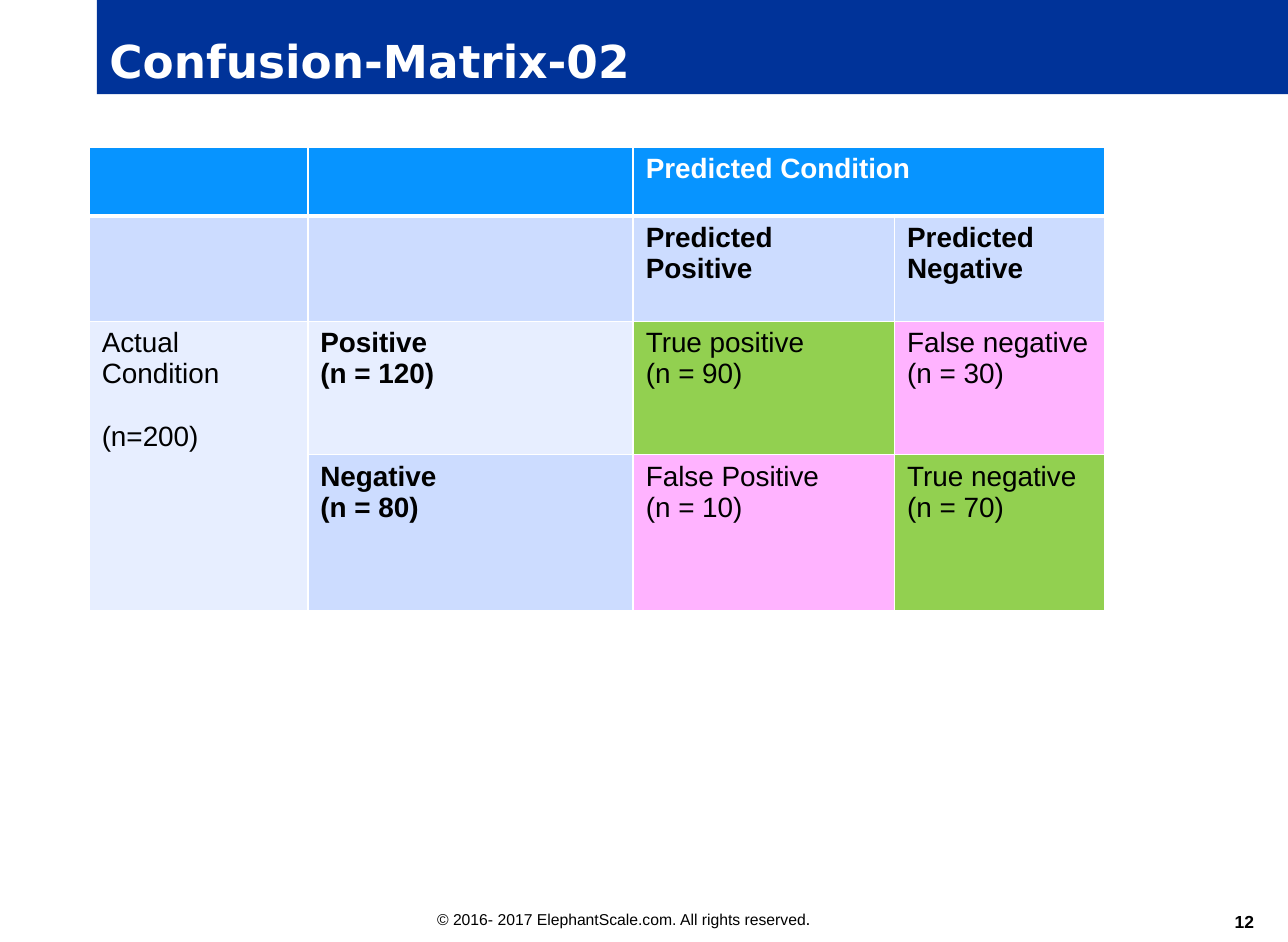
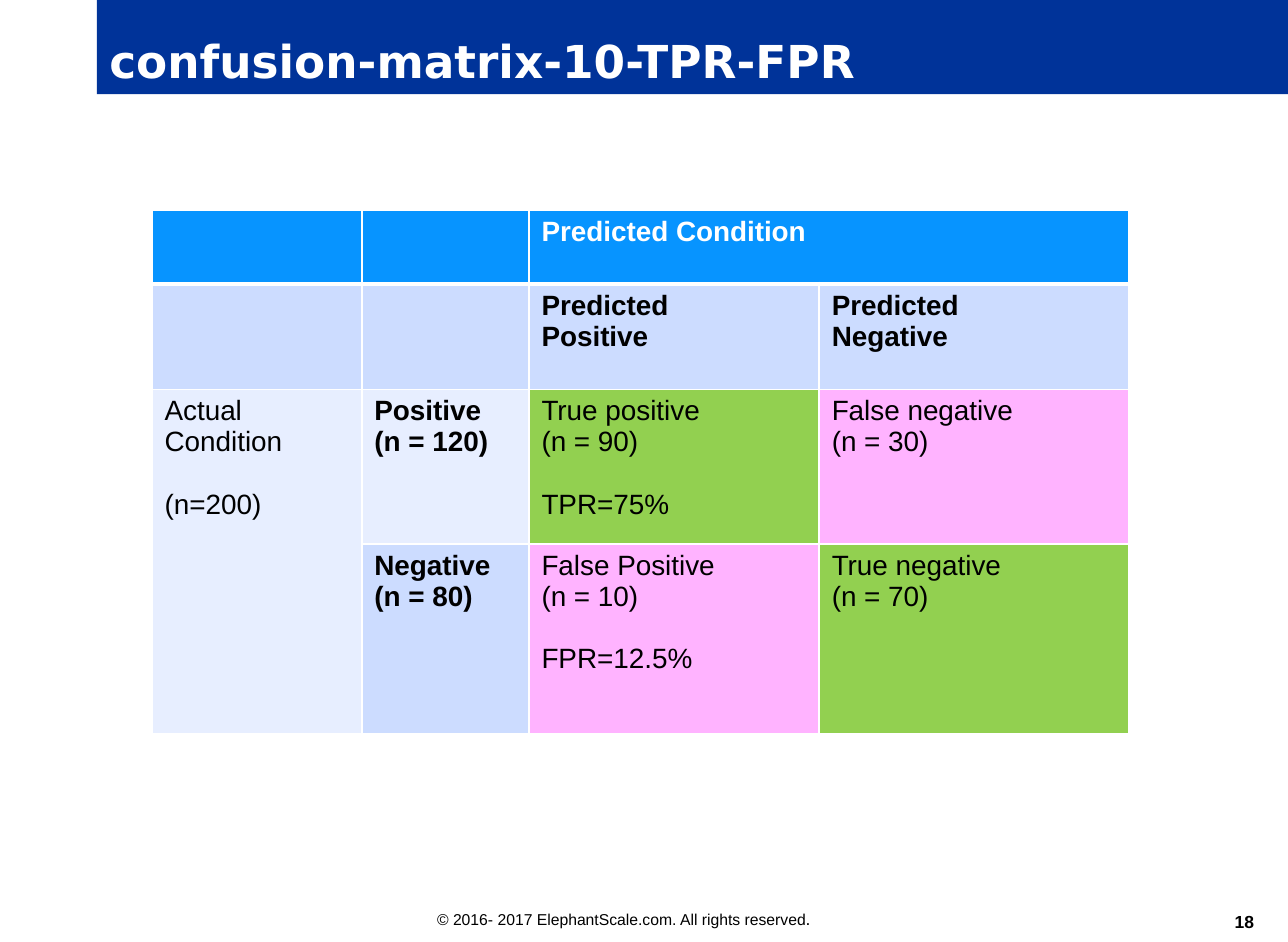
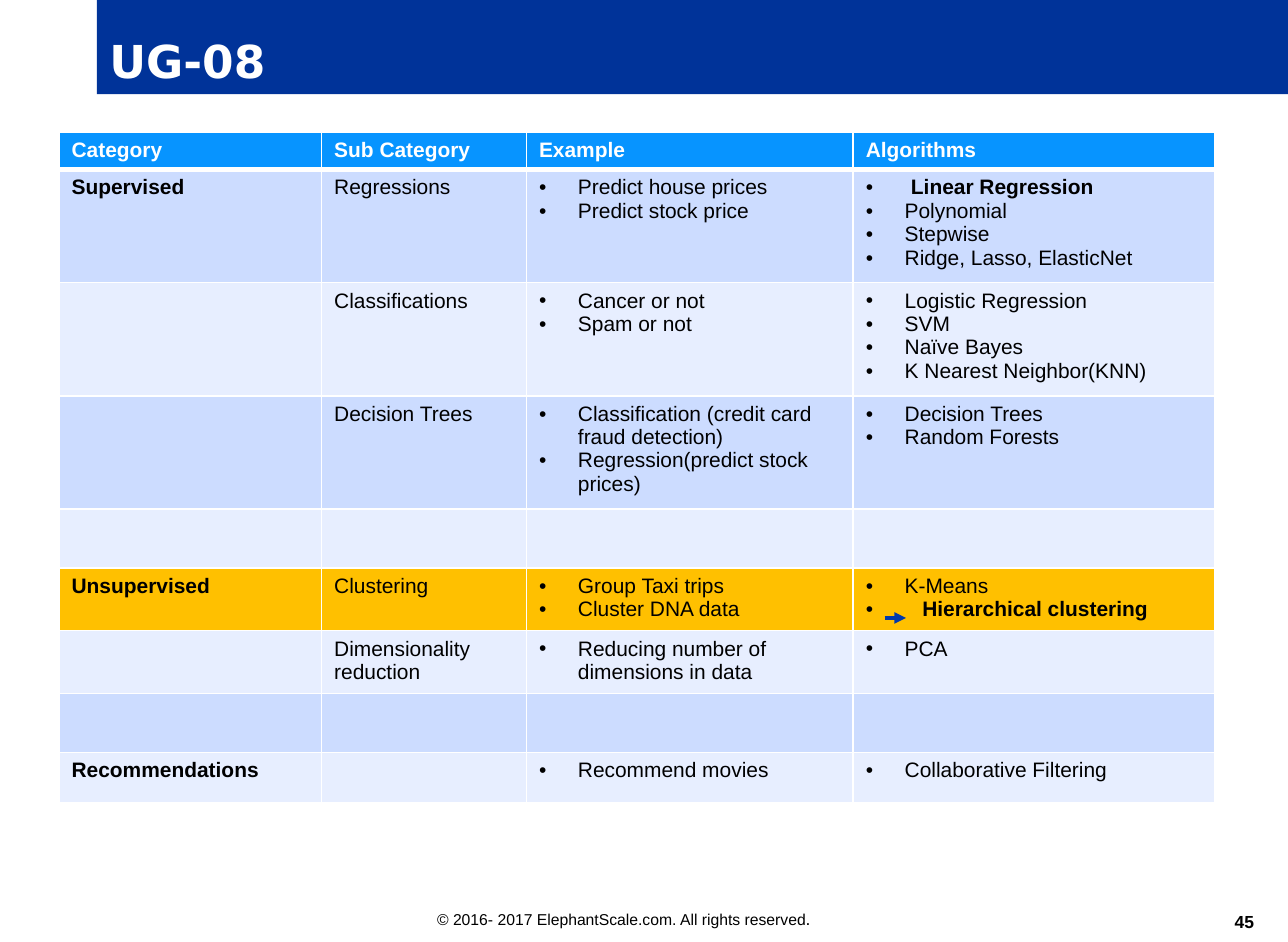
from dataclasses import dataclass

from lxml import etree
from pptx import Presentation
from pptx.dml.color import RGBColor as RGB
from pptx.enum.shapes import MSO_CONNECTOR as LINK
from pptx.enum.text import MSO_ANCHOR as ANCHOR, MSO_AUTO_SIZE as FIT, PP_ALIGN as ALIGN
from pptx.oxml.ns import qn
from pptx.util import Inches, Pt


@dataclass(frozen=True)
class Theme:
    band: str = "003399"
    head: str = "0794FF"
    pale: str = "CCDCFF"
    light: str = "E7EEFF"
    good: str = "92D050"
    bad: str = "FFB3FF"
    gold: str = "FFC000"
    arrow: str = "0039AB"
    white: str = "FFFFFF"
    black: str = "000000"
    body: str = "Arial"
    display: str = "DejaVu Sans"
    title: int = 26
    large: int = 16
    small: int = 12
    number: int = 10
    legal: int = 9
    thin: float = 0.96
    thick: float = 3
    hang: float = 0.31


T = Theme()


@dataclass
class Line:
    """One paragraph of a cell; hang is its bullet indent, if it has one."""
    text: str
    bold: bool = False
    hang: float = 0
    gap: int = 0


def add_run(para, text, size, color=T.black, bold=False, face=T.body):
    run = para.add_run()
    run.text = text
    font = run.font
    font.size, font.bold, font.name = Pt(size), bold, face
    font.color.rgb = RGB.from_string(color)


def set_box(shape, box):
    shape.left, shape.top, shape.width, shape.height = map(Inches, box)


def add_box(slide, box):
    frame = slide.shapes.add_textbox(*map(Inches, box)).text_frame
    frame.word_wrap = True
    return frame


def add_title(slide, box, text):
    title = slide.shapes.title
    set_box(title, box)
    title.fill.solid()
    title.fill.fore_color.rgb = RGB.from_string(T.band)
    frame = title.text_frame
    frame.auto_size = FIT.NONE
    frame.vertical_anchor = ANCHOR.BOTTOM
    para = frame.paragraphs[0]
    para.alignment = ALIGN.LEFT
    add_run(para, text, T.title, T.white, True, T.display)


def add_foot(slide, number):
    para = add_box(slide, (3.38, 7.18, 4.65, 0.26)).paragraphs[0]
    add_run(para, "© 2016- 2017 ElephantScale.com. All rights reserved", T.legal)
    add_run(para, ".", T.number)
    frame = add_box(slide, (9.38, 7.17, 0.6, 0.25))
    frame.margin_left = frame.margin_right = 0
    frame.margin_top = frame.margin_bottom = 0
    frame.vertical_anchor = ANCHOR.BOTTOM
    para = frame.paragraphs[0]
    para.alignment = ALIGN.RIGHT
    add_run(para, number, T.number, bold=True)


def new_slide(deck, title, number):
    slide = deck.slides.add_slide(deck.slide_layouts[5])
    add_title(slide, (0.77, 0, 9.48, 0.75), title)
    add_foot(slide, number)
    return slide


def add_bullet(para, hang):
    props = para._p.get_or_add_pPr()
    props.set("marL", str(Inches(hang)))
    props.set("indent", str(-Inches(hang)))
    etree.SubElement(props, qn("a:buFont")).set("typeface", T.body)
    etree.SubElement(props, qn("a:buChar")).set("char", "•")


def set_edges(cell, row):
    """White rules, thick between the head row and the row below."""
    props = cell._tc.get_or_add_tcPr()
    for side in "LRTB":
        thick = (row, side) in ((0, "B"), (1, "T"))
        edge = etree.SubElement(props, qn("a:ln" + side))
        edge.set("w", str(Pt(T.thick if thick else T.thin)))
        fill = etree.SubElement(edge, qn("a:solidFill"))
        etree.SubElement(fill, qn("a:srgbClr")).set("val", T.white)


def fill_cell(cell, lines, size, color):
    frame = cell.text_frame
    for i, line in enumerate(lines):
        para = frame.add_paragraph() if i else frame.paragraphs[0]
        if line.gap:
            para.space_before = Pt(line.gap)
        if line.hang:
            add_bullet(para, line.hang)
        add_run(para, line.text, size, color, line.bold)


def add_grid(slide, spot, cols, rows, cells, paint, size):
    """Place a table at spot; cells holds lists of lines, paint(r, c) a fill."""
    box = (*spot, sum(cols), sum(rows))
    table = slide.shapes.add_table(len(rows), len(cols), *map(Inches, box)).table
    table.first_row = table.horz_banding = False
    for col, width in zip(table.columns, cols):
        col.width = Inches(width)
    for r, height in enumerate(rows):
        table.rows[r].height = Inches(height)
        for c in range(len(cols)):
            cell = table.cell(r, c)
            set_edges(cell, r)
            cell.fill.solid()
            cell.fill.fore_color.rgb = RGB.from_string(paint(r, c))
            fill_cell(cell, cells[r][c], size, T.black if r else T.white)
    return table


def add_matrix(slide, spot, cols, rows, rates=("", "")):
    """Confusion matrix; rates are notes under the two predicted positives."""
    texts = [
        ["", "", "Predicted Condition", ""],
        ["", "", "Predicted\nPositive", "Predicted\nNegative"],
        ["Actual\nCondition\n(n=200)", "Positive\n(n = 120)",
         "True positive\n(n = 90)\n" + rates[0], "False negative\n(n = 30)"],
        ["", "Negative\n(n = 80)",
         "False Positive\n(n = 10)\n" + rates[1], "True negative\n(n = 70)"],
    ]
    fills = [
        [T.head] * 4,
        [T.pale] * 4,
        [T.light, T.light, T.good, T.bad],
        [T.light, T.pale, T.bad, T.good],
    ]
    cells = [[[Line(part, r < 2 or c == 1, gap=18 if i == 2 else 0)
               for i, part in enumerate(text.split("\n")) if part]
              for c, text in enumerate(row)] for r, row in enumerate(texts)]
    table = add_grid(slide, spot, cols, rows, cells,
                     lambda r, c: fills[r][c], T.large)
    table.cell(0, 2).merge(table.cell(0, 3))
    table.cell(2, 0).merge(table.cell(3, 0))


def add_survey(slide, spot):
    """Table of learning methods, with bullets in its last two columns."""
    texts = [
        ["Category", "Sub Category", "Example", "Algorithms"],
        ["Supervised", "Regressions", "Predict house prices\nPredict stock price",
         "Linear Regression\nPolynomial\nStepwise\nRidge, Lasso, ElasticNet"],
        ["", "Classifications", "Cancer or not\nSpam or not",
         "Logistic Regression\nSVM\nNaïve Bayes\nK Nearest Neighbor(KNN)"],
        ["", "Decision Trees",
         "Classification (credit card fraud detection)\n"
         "Regression(predict stock prices)", "Decision Trees\nRandom Forests"],
        [""] * 4,
        ["Unsupervised", "Clustering", "Group Taxi trips\nCluster DNA data",
         "K-Means\nHierarchical clustering"],
        ["", "Dimensionality\nreduction", "Reducing number of dimensions in data",
         "PCA"],
        [""] * 4,
        ["Recommendations", "", "Recommend movies", "Collaborative Filtering"],
    ]
    strong = {"Linear Regression": 0.36, "Hierarchical clustering": 0.45}

    def make_line(r, c, text):
        hang = strong.get(text, T.hang) if r and c > 1 else 0
        return Line(text, r == 0 or c == 0 or text in strong, hang)

    def paint(r, c):
        if r in (0, 5):
            return T.gold if r else T.head
        return T.pale if r % 2 else T.light

    cells = [[[make_line(r, c, part) for part in text.split("\n") if part]
              for c, text in enumerate(row)] for r, row in enumerate(texts)]
    rows = [0.29] + [0.85] * 3 + [0.47] * 4 + [0.37]
    add_grid(slide, spot, (2.09, 1.63, 2.6, 2.88), rows, cells, paint, T.small)


def add_arrow(slide, left, top, width):
    ends = map(Inches, (left, top, left + width, top))
    arrow = slide.shapes.add_connector(LINK.STRAIGHT, *ends)
    arrow.line.color.rgb = RGB.from_string(T.arrow)
    arrow.line.width = Pt(2.25)
    etree.SubElement(arrow.line._get_or_add_ln(), qn("a:tailEnd")).set("type", "triangle")
    etree.SubElement(arrow._element.spPr, qn("a:effectLst"))


def main():
    deck = Presentation()
    deck.slide_width, deck.slide_height = Inches(10.25), Inches(7.5)

    slide = new_slide(deck, "Confusion-Matrix-02", "12")
    add_matrix(slide, (0.71, 1.17), (1.74, 2.59, 2.08, 1.67),
               (0.55, 0.84, 1.06, 1.24))

    slide = new_slide(deck, "confusion-matrix-10-TPR-FPR", "18")
    add_matrix(slide, (1.21, 1.67), (1.67, 1.33, 2.31, 2.46),
               (0.59, 0.84, 1.23, 1.51), ("TPR=75%", "FPR=12.5%"))

    slide = new_slide(deck, "UG-08", "45")
    add_survey(slide, (0.47, 1.05))
    add_arrow(slide, 7.04, 4.92, 0.17)

    deck.save("out.pptx")


if __name__ == "__main__":
    main()
